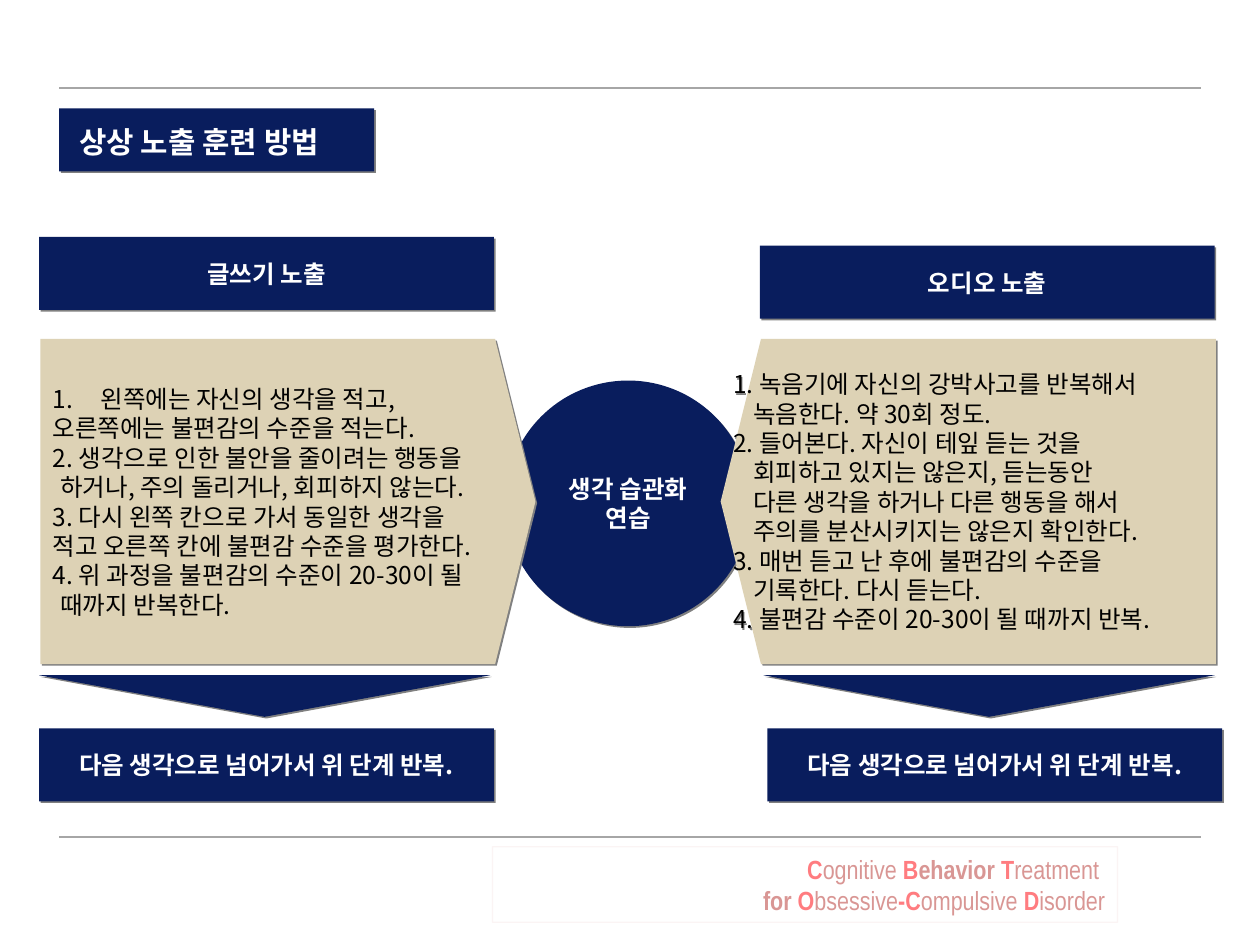
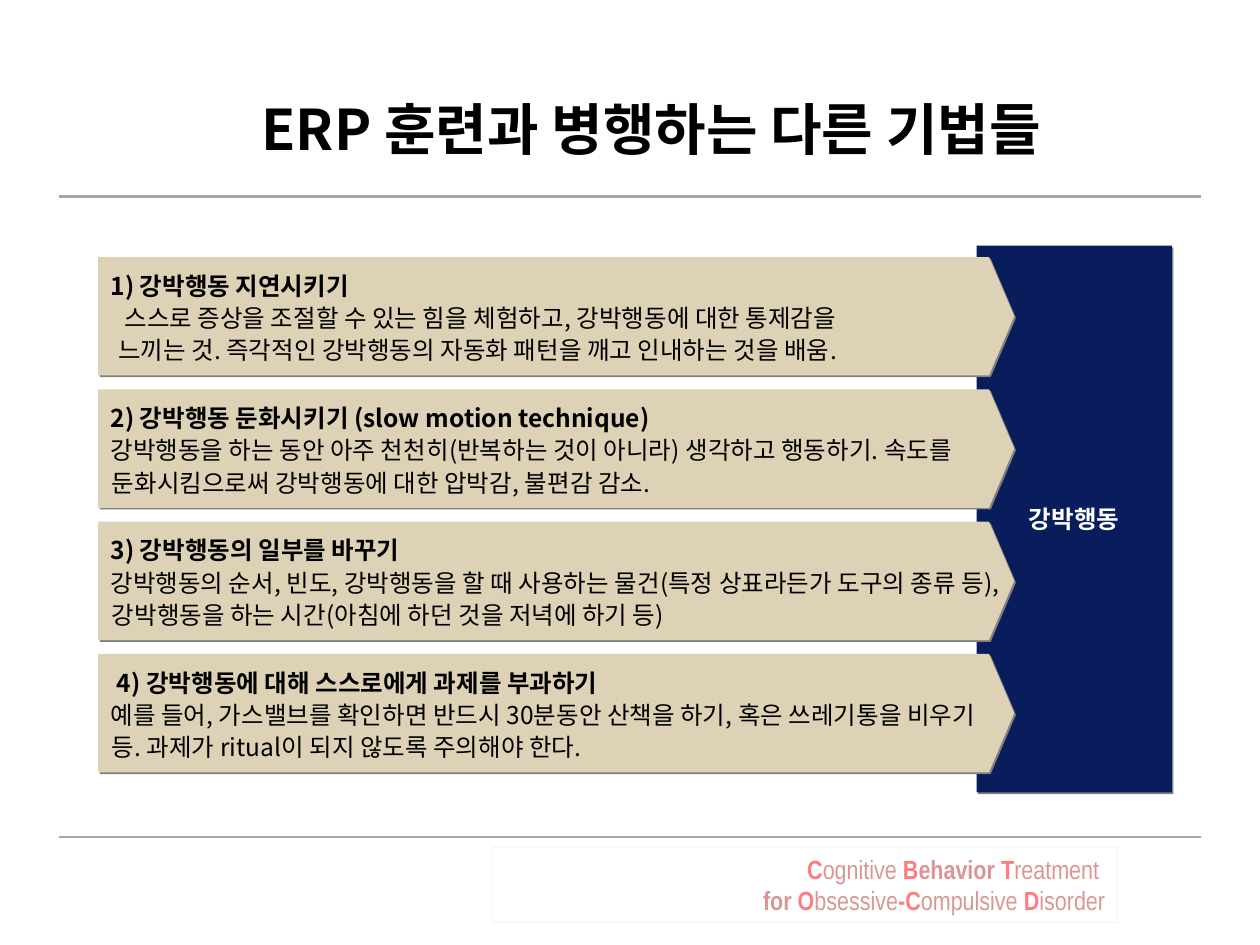
from dataclasses import dataclass, replace
from typing import NamedTuple

import pptx
import pptx.dml.color
import pptx.enum.shapes
import pptx.enum.text
import pptx.oxml
import pptx.oxml.ns
import pptx.util
from pptx.util import Inches

NAVY, SAND, WHITE, BLACK = "091D5D", "DDD2B5", "FFFFFF", "000000"
RULE_GREY, SHADOW_GREY = "A6A6A6", "808080"
ROSE, CORAL = "D99694", "FF7C80"
KOREAN, NARROW = "Noto Sans CJK KR", "Arial Narrow"

SHAPE = pptx.enum.shapes.MSO_SHAPE
ALIGN = pptx.enum.text.PP_ALIGN
ANCHOR = pptx.enum.text.MSO_ANCHOR
AUTO = pptx.enum.text.MSO_AUTO_SIZE
TITLE_ONLY = 5


class Box(NamedTuple):
    left: float
    top: float
    width: float
    height: float


class Run(NamedTuple):
    text: str
    color: str
    bold: bool


@dataclass(frozen=True)
class Style:
    size: float = 14
    font: str = KOREAN
    color: str = WHITE
    bold: bool = True
    align: ALIGN = ALIGN.CENTER
    spacing: float = 1.0


@dataclass(frozen=True)
class Line:
    """A paragraph; indent shifts all of it, hang only the lines after the first."""
    text: str
    indent: float = 0
    hang: float = 0
    bold: bool = False
    numbered: bool = False


@dataclass(frozen=True)
class Method:
    """One exposure method with its steps, and the places of its own parts."""
    heading: str
    heading_box: Box
    steps: list[Line]
    panel: Box
    mirrored: bool
    triangle: Box
    next_box: Box


LABEL = Style()
STEPS = Style(color=BLACK, bold=False, align=ALIGN.JUSTIFY)
CARD = Style(color=BLACK, bold=False, align=ALIGN.LEFT, spacing=1.1)
HEADLINE = Style(size=32, color=BLACK)
TAG = Style(size=17, align=ALIGN.LEFT, spacing=1.1)
FOOTER = Style(size=15, font=NARROW, align=ALIGN.RIGHT)

FOOTER_LINES = [
    [Run("C", CORAL, True), Run("ognitive", ROSE, False), Run(" B", CORAL, True),
     Run("ehavior", ROSE, True), Run(" T", CORAL, True), Run("reatment ", ROSE, False)],
    [Run("for", ROSE, True), Run(" O", CORAL, True), Run("bsessive", ROSE, False),
     Run("-C", CORAL, True), Run("ompulsive", ROSE, False), Run(" D", CORAL, True),
     Run("isorder", ROSE, False)],
]

NEXT_STEP = "다음 생각으로 넘어가서 위 단계 반복."
STEP_INDENT = 0.16
METHODS = [
    Method("글쓰기 노출", Box(0.31, 1.88, 3.61, 0.58), [
        Line("왼쪽에는 자신의 생각을 적고,", hang=0.38, numbered=True),
        Line("오른쪽에는 불편감의 수준을 적는다."),
        Line("2. 생각으로 인한 불안을 줄이려는 행동을"),
        Line("하거나, 주의 돌리거나, 회피하지 않는다.", 0.06),
        Line("3. 다시 왼쪽 칸으로 가서 동일한 생각을"),
        Line("적고 오른쪽 칸에 불편감 수준을 평가한다."),
        Line("4. 위 과정을 불편감의 수준이 20-30이 될"),
        Line("때까지 반복한다.", 0.06),
    ], Box(0.32, 2.69, 3.93, 2.58), False,
        Box(0.31, 5.36, 3.58, 0.33), Box(0.31, 5.78, 3.61, 0.58)),
    Method("오디오 노출", Box(6.03, 1.95, 3.61, 0.58), [
        Line("1. 녹음기에 자신의 강박사고를 반복해서"),
        Line("녹음한다. 약 30회 정도.", STEP_INDENT),
        Line("2. 들어본다. 자신이 테잎 듣는 것을"),
        Line("회피하고 있지는 않은지, 듣는동안", STEP_INDENT),
        Line("다른 생각을 하거나 다른 행동을 해서", STEP_INDENT),
        Line("주의를 분산시키지는 않은지 확인한다.", STEP_INDENT),
        Line("3. 매번 듣고 난 후에 불편감의 수준을"),
        Line("기록한다. 다시 듣는다.", STEP_INDENT),
        Line("4. 불편감 수준이 20-30이 될 때까지 반복."),
    ], Box(5.72, 2.69, 3.93, 2.58), True,
        Box(6.06, 5.36, 3.58, 0.33), Box(6.09, 5.78, 3.61, 0.58)),
]

TECHNIQUES = [
    [Line("1) 강박행동 지연시키기", bold=True),
     Line("스스로 증상을 조절할 수 있는 힘을 체험하고, 강박행동에 대한 통제감을", 0.11),
     Line("느끼는 것. 즉각적인 강박행동의 자동화 패턴을 깨고 인내하는 것을 배움.", 0.06)],
    [Line("2) 강박행동 둔화시키기 (slow motion technique)", bold=True),
     Line("강박행동을 하는 동안 아주 천천히(반복하는 것이 아니라) 생각하고 행동하기. "
          "속도를 둔화시킴으로써 강박행동에 대한 압박감, 불편감 감소.", hang=0.01)],
    [Line("3) 강박행동의 일부를 바꾸기", bold=True),
     Line("강박행동의 순서, 빈도, 강박행동을 할 때 사용하는 물건(특정 상표라든가 도구의 "
          "종류 등), 강박행동을 하는 시간(아침에 하던 것을 저녁에 하기 등)", hang=0.01)],
    [Line("4) 강박행동에 대해 스스로에게 과제를 부과하기", 0.05, bold=True),
     Line("예를 들어, 가스밸브를 확인하면 반드시 30분동안 산책을 하기, 혹은 쓰레기통을 "
          "비우기 등. 과제가 ritual이 되지 않도록 주의해야 한다.", hang=0.01)],
]


def rgb(color: str) -> pptx.dml.color.RGBColor:
    return pptx.dml.color.RGBColor.from_string(color)


def add_xml(parent, tag: str, **attrs: str):
    child = parent.makeelement(pptx.oxml.ns.qn(tag), attrs)
    parent.append(child)
    return child


def set_all(target, values: dict) -> None:
    for name, value in values.items():
        setattr(target, name, value)


def inches(box: Box) -> list[int]:
    return [Inches(value) for value in box]


def paint(sp, fill: str) -> None:
    """Solid fill, no outline, hard grey shadow to the lower right."""
    sp.fill.solid()
    sp.fill.fore_color.rgb = rgb(fill)
    sp.line.fill.background()
    effects = add_xml(sp._element.spPr, "a:effectLst")
    shadow = add_xml(effects, "a:outerShdw", dist=str(pptx.util.Pt(1.4)),
                     dir="2700000", algn="ctr", rotWithShape="0")
    add_xml(shadow, "a:srgbClr", val=SHADOW_GREY)


def frame(sp, inset_y: float = 0.1, wrap: bool = True,
          anchor: ANCHOR = ANCHOR.MIDDLE, auto: AUTO = AUTO.NONE) -> None:
    set_all(sp.text_frame, dict(
        margin_left=Inches(0.1), margin_right=Inches(0.1),
        margin_top=Inches(inset_y), margin_bottom=Inches(inset_y),
        word_wrap=wrap, vertical_anchor=anchor, auto_size=auto))


def new_paragraph(tf, index: int, style: Style):
    p = tf.add_paragraph() if index else tf.paragraphs[0]
    set_all(p, dict(alignment=style.align, line_spacing=style.spacing))
    return p


def add_run(p, text: str, style: Style) -> None:
    r = p.add_run()
    r.text = text
    set_all(r.font, dict(size=pptx.util.Pt(style.size), bold=style.bold, name=style.font))
    r.font.color.rgb = rgb(style.color)
    add_xml(r._r.get_or_add_rPr(), "a:ea", typeface=style.font)


def write(sp, lines: list[Line], style: Style) -> None:
    for i, line in enumerate(lines):
        p = new_paragraph(sp.text_frame, i, style)
        pPr = p._p.get_or_add_pPr()
        pPr.set("marL", str(Inches(line.indent + line.hang)))
        pPr.set("indent", str(Inches(-line.hang)))
        if line.numbered:
            add_xml(pPr, "a:buAutoNum", type="arabicPeriod")
        add_run(p, line.text, replace(style, bold=style.bold or line.bold))


def add_label(s, kind: SHAPE, box: Box, text: str) -> None:
    sp = s.shapes.add_shape(kind, *inches(box))
    paint(sp, NAVY)
    frame(sp)
    write(sp, [Line(text)], LABEL)


def add_down_triangle(s, box: Box) -> None:
    sp = s.shapes.add_shape(SHAPE.ISOSCELES_TRIANGLE, *inches(box))
    paint(sp, NAVY)
    sp._element.spPr.xfrm.set("flipV", "1")


def add_arrow_panel(s, box: Box, tip: float, lines: list[Line], style: Style,
                    mirrored: bool = False, wrap: bool = True) -> None:
    """Block with one pointed side: the right one, or the left when mirrored."""
    right, bottom = box.left + box.width, box.top + box.height
    flat, point, shoulder = ((right, box.left, box.left + tip) if mirrored
                             else (box.left, right, right - tip))
    corners = [(flat, box.top), (shoulder, box.top), (point, box.top + box.height / 2),
               (shoulder, bottom), (flat, bottom)]
    start, *rest = [(Inches(x), Inches(y)) for x, y in corners]
    builder = s.shapes.build_freeform(*start)
    builder.add_line_segments(rest, close=True)
    sp = builder.convert_to_shape()
    paint(sp, SAND)
    frame(sp, wrap=wrap)
    write(sp, lines, style)


def add_rule(s, y: float) -> None:
    rule = s.shapes.add_connector(pptx.enum.shapes.MSO_CONNECTOR.STRAIGHT,
                                  *inches(Box(0.47, y, 9.53, y)))
    rule.line.color.rgb = rgb(RULE_GREY)
    rule.line.width = pptx.util.Pt(1.25)
    add_xml(rule._element.spPr, "a:effectLst")


def add_footer(s) -> None:
    sp = s.shapes.add_shape(SHAPE.RECTANGLE, *inches(Box(3.91, 6.72, 4.96, 0.6)))
    sp.shadow.inherit = False
    sp.fill.background()
    sp.line.color.rgb = rgb(ROSE)
    sp.line.width = pptx.util.Pt(0.75)
    add_xml(sp.line.fill._xPr.find(".//" + pptx.oxml.ns.qn("a:srgbClr")),
            "a:alpha", val="10000")
    frame(sp, inset_y=0.05, anchor=ANCHOR.TOP, auto=AUTO.SHAPE_TO_FIT_TEXT)
    for i, runs in enumerate(FOOTER_LINES):
        p = new_paragraph(sp.text_frame, i, FOOTER)
        for run in runs:
            add_run(p, run.text, replace(FOOTER, color=run.color, bold=run.bold))


def new_slide(prs, rule_y: float, title: Line, box: Box, style: Style):
    """Slide with its placed title, the two rules and the footer."""
    s = prs.slides.add_slide(prs.slide_layouts[TITLE_ONLY])
    sp = s.shapes.title
    set_all(sp, dict(zip(("left", "top", "width", "height"), inches(box))))
    frame(sp, inset_y=0.05)
    write(sp, [title], style)
    add_rule(s, 6.64)
    add_rule(s, rule_y)
    add_footer(s)
    return s


def build_exposure_slide(prs) -> None:
    s = new_slide(prs, 0.7, Line("상상 노출 훈련 방법", 0.06), Box(0.47, 0.86, 2.5, 0.5), TAG)
    paint(s.shapes.title, NAVY)
    add_label(s, SHAPE.OVAL, Box(4.01, 3.02, 1.95, 1.95), "생각 습관화 연습")
    for m in METHODS:
        add_arrow_panel(s, m.panel, 0.32, m.steps, STEPS, m.mirrored, wrap=False)
        add_label(s, SHAPE.RECTANGLE, m.heading_box, m.heading)
        add_down_triangle(s, m.triangle)
        add_label(s, SHAPE.RECTANGLE, m.next_box, NEXT_STEP)


def build_techniques_slide(prs) -> None:
    s = new_slide(prs, 1.56, Line("ERP 훈련과 병행하는 다른 기법들"),
                  Box(1.17, 0.39, 8, 1.25), HEADLINE)
    add_label(s, SHAPE.RECTANGLE, Box(7.75, 1.95, 1.55, 4.34), "강박행동")
    for i, lines in enumerate(TECHNIQUES):
        add_arrow_panel(s, Box(0.78, 2.04 + 1.05 * i, 7.27, 0.94), 0.2, lines, CARD)


def main() -> None:
    prs = pptx.Presentation()
    prs.slide_width, prs.slide_height = Inches(10), Inches(7.5)
    build_exposure_slide(prs)
    build_techniques_slide(prs)
    prs.save("out.pptx")


if __name__ == "__main__":
    main()
